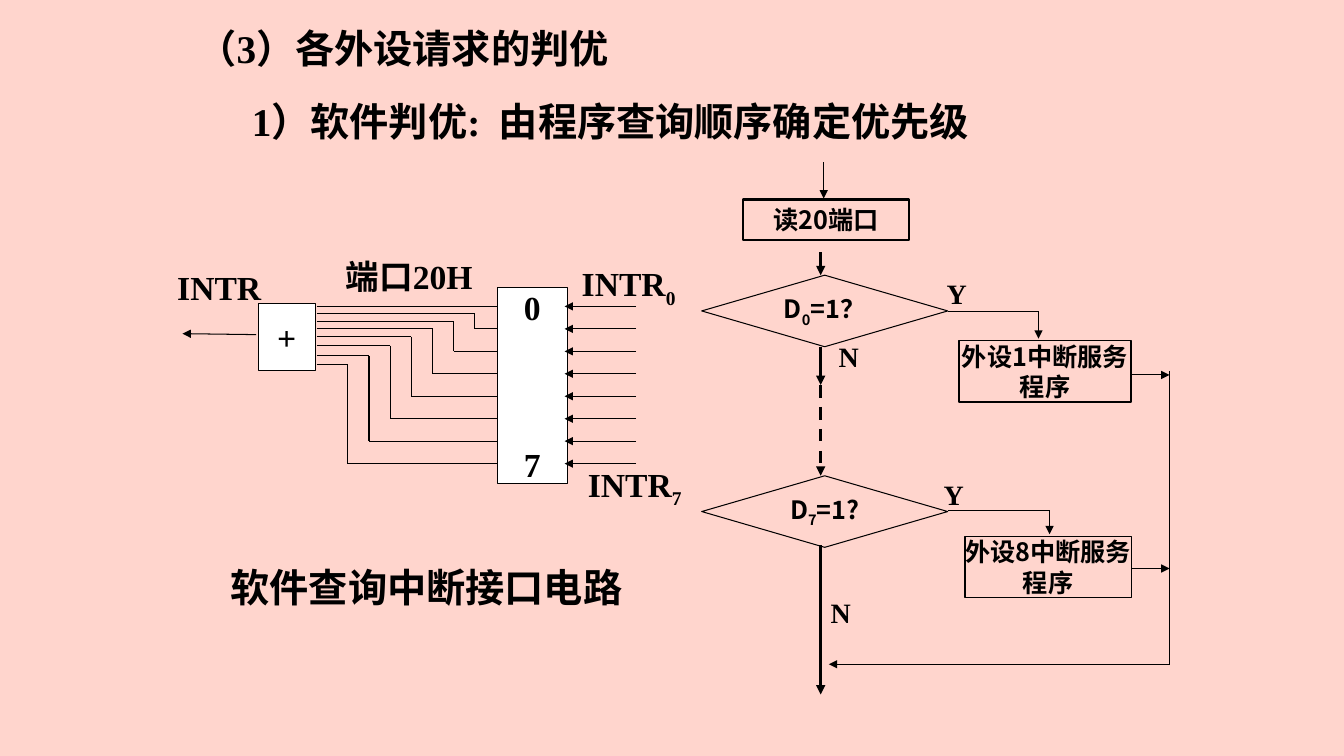
from lxml import etree
from pptx import Presentation
from pptx.dml.color import RGBColor
from pptx.enum.dml import MSO_LINE
from pptx.enum.shapes import MSO_CONNECTOR, MSO_SHAPE
from pptx.enum.text import MSO_ANCHOR, PP_ALIGN
from pptx.oxml.ns import qn
from pptx.util import Inches, Pt

SERIF = "Times New Roman"
SANS = "Noto Sans CJK SC"
BLACK, WHITE, PINK = "000000", "FFFFFF", "FFD5CD"
RECT, DIAMOND = MSO_SHAPE.RECTANGLE, MSO_SHAPE.DIAMOND


def color(value):
    return RGBColor.from_string(value)


def write(tf, text, size=18, font=SERIF, align=PP_ALIGN.LEFT, anchor=MSO_ANCHOR.TOP,
          wrap=True, inset=(0.1, 0.05), gap=0):
    """Fill a frame; newlines split paragraphs and _x_ marks a subscript."""
    tf.word_wrap = wrap
    tf.vertical_anchor = anchor
    tf.margin_left = tf.margin_right = Inches(inset[0])
    tf.margin_top = tf.margin_bottom = Inches(inset[1])
    for i, line in enumerate(text.split("\n")):
        p = tf.add_paragraph() if i else tf.paragraphs[0]
        p.alignment = align
        p.space_before = Pt(gap if i else 0)
        for j, part in enumerate(line.split("_")):
            if not part:
                continue
            r = p.add_run()
            r.text = part
            r.font.size = Pt(size)
            r.font.bold = True
            r.font.name = font
            r.font.color.rgb = color(BLACK)
            rpr = r._r.get_or_add_rPr()
            etree.SubElement(rpr, qn("a:ea"), typeface=SANS)
            if j % 2:
                rpr.set("baseline", "-25000")


def add_label(s, text, x, y, w, h, **fmt):
    sp = s.shapes.add_textbox(Inches(x), Inches(y), Inches(w), Inches(h))
    write(sp.text_frame, text, **fmt)


def add_box(s, kind, text, x, y, w, h, fill=None, line=0.75, **fmt):
    sp = s.shapes.add_shape(kind, Inches(x), Inches(y), Inches(w), Inches(h))
    sp.shadow.inherit = False
    if fill:
        sp.fill.solid()
        sp.fill.fore_color.rgb = color(fill)
    else:
        sp.fill.background()
    sp.line.color.rgb = color(BLACK)
    sp.line.width = Pt(line)
    write(sp.text_frame, text, align=PP_ALIGN.CENTER, anchor=MSO_ANCHOR.MIDDLE, **fmt)


def add_line(s, start, end, width=0.75, arrow=False, dashed=False):
    """Draw a straight line, with an optional arrowhead at its end."""
    cx = s.shapes.add_connector(MSO_CONNECTOR.STRAIGHT, *map(Inches, start + end))
    cx.line.color.rgb = color(BLACK)
    cx.line.width = Pt(width)
    if dashed:
        cx.line.dash_style = MSO_LINE.DASH
    if arrow:
        etree.SubElement(cx.line._get_or_add_ln(), qn("a:tailEnd"), type="triangle")
    etree.SubElement(cx._element.spPr, qn("a:effectLst"))


def add_path(s, *points, arrow=False):
    for i, (start, end) in enumerate(zip(points, points[1:]), 2):
        add_line(s, start, end, arrow=arrow and i == len(points))


def draw_headings(s):
    for text, x, y, w in [
        ("（3）各外设请求的判优", 1.86, 0.19, 6.38),
        ("1）软件判优:", 2.4, 0.92, 3.75),
        ("由程序查询顺序确定优先级", 4.85, 0.92, 5.71),
        ("软件查询中断接口电路", 2.19, 5.54, 4.2),
    ]:
        add_label(s, text, x, y, w, 0.57, size=28)


def draw_circuit(s):
    gate_right, port_left, port_right = 3.14, 4.93, 5.6
    add_box(s, RECT, "+", 2.56, 3.01, 0.57, 0.67, fill=WHITE, size=24, wrap=False)
    add_box(s, RECT, "0\n7", port_left, 2.85, 0.7, 1.95, fill=WHITE, size=24,
            wrap=False, gap=83)
    gate_ys = [3.04, 3.11, 3.19, 3.26, 3.34, 3.43, 3.53, 3.62]
    for i, gate_y in enumerate(gate_ys):
        port_y = 3.04 + i * 1.56 / 7
        add_line(s, (6.31, port_y), (port_right, port_y), arrow=True)
        if i == 0:
            add_line(s, (gate_right, gate_y), (port_left, port_y))
        else:
            bend_x = 4.92 - 0.21 * i
            add_path(s, (gate_right, gate_y), (bend_x, gate_y),
                     (bend_x, port_y), (port_left, port_y))
    add_line(s, (2.54, 3.32), (1.81, 3.31), arrow=True)
    add_label(s, "端口20H", 3.33, 2.49, 1.71, 0.51, size=24)
    add_label(s, "INTR", 1.66, 2.6, 1.33, 0.51, size=24)
    add_label(s, "INTR_0_", 5.77, 2.56, 1.27, 0.59, size=24, inset=(0, 0.05))
    add_label(s, "INTR_7_", 5.83, 4.55, 1.05, 0.59, size=24, inset=(0, 0.05))


def draw_flowchart(s):
    flow_x, return_x = 8.14, 11.6
    add_line(s, (8.17, 1.61), (8.17, 1.97), arrow=True)
    add_box(s, RECT, "读20端口", 7.37, 1.98, 1.65, 0.4, line=1.5, font=SANS)
    for text, y in [("D_0_=1？", 2.73), ("D_7_=1?", 4.72)]:
        add_box(s, DIAMOND, text, 6.96, y, 2.44, 0.71, font=SANS, wrap=False)
    for top, bottom, dashed in [(2.5, 2.73, False), (3.44, 3.82, False),
                                (3.82, 4.72, True), (5.41, 6.89, False)]:
        add_line(s, (flow_x, top), (flow_x, bottom), 2.25, arrow=True, dashed=dashed)

    for number, x, y, branch_y, turn_x, exit_y in [
        (1, 9.51, 3.38, 3.09, 10.3, 3.72),
        (8, 9.57, 5.32, 5.06, 10.41, 5.64),
    ]:
        add_box(s, RECT, f"外设{number}中断服务程序", x, y, 11.22 - x, 0.61, line=1,
                font=SANS, inset=(0, 0))
        add_path(s, (9.4, branch_y), (turn_x, branch_y), (turn_x, y - 0.02), arrow=True)
        add_line(s, (11.22, exit_y), (return_x, exit_y), arrow=True)
    add_path(s, (return_x, 3.68), (return_x, 6.59), (8.22, 6.59), arrow=True)

    for text, x, y in [("Y", 9.29, 2.69), ("Y", 9.26, 4.69),
                       ("N", 8.22, 3.32), ("N", 8.14, 5.86)]:
        add_label(s, text, x, y, 0.71, 0.43, size=20)


def main():
    prs = Presentation()
    prs.slide_width, prs.slide_height = Inches(13.33), Inches(7.5)
    s = prs.slides.add_slide(prs.slide_layouts[6])
    s.background.fill.solid()
    s.background.fill.fore_color.rgb = color(PINK)
    draw_headings(s)
    draw_circuit(s)
    draw_flowchart(s)
    prs.save("out.pptx")


if __name__ == "__main__":
    main()
